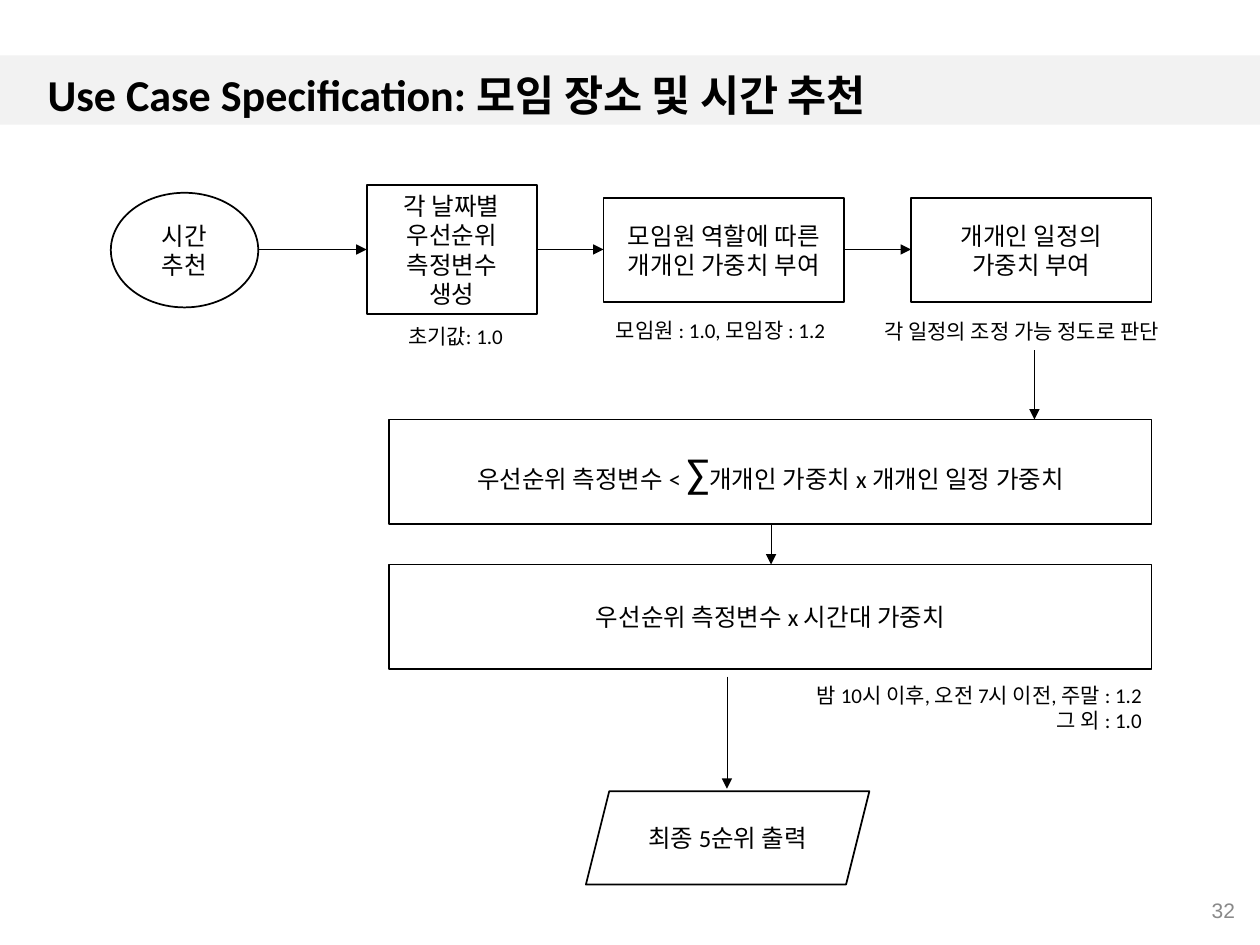
from lxml.etree import SubElement
from pptx import Presentation
from pptx.dml.color import RGBColor
from pptx.enum.shapes import MSO_CONNECTOR, MSO_SHAPE as SHAPE
from pptx.enum.text import MSO_ANCHOR as ANCHOR, PP_ALIGN as ALIGN
from pptx.oxml.ns import qn
from pptx.util import Inches, Pt

BLACK = RGBColor(0x00, 0x00, 0x00)
GRAY = RGBColor(0x89, 0x89, 0x89)
BAND = RGBColor(0xF2, 0xF2, 0xF2)
KOREAN_FONT = "Noto Sans CJK KR"


def style_span(span, size, font="Calibri", color=BLACK, bold=False):
    span.font.size = Pt(size)
    span.font.name = font
    span.font.bold = bold
    span.font.color.rgb = color
    SubElement(span.font._element, qn("a:ea")).set("typeface", KOREAN_FONT)


def write(box, text, size, align, anchor=ANCHOR.MIDDLE, **style):
    frame = box.text_frame
    frame.word_wrap = True
    frame.vertical_anchor = anchor
    frame.text = text
    for para in frame.paragraphs:
        para.alignment = align
        for span in para.runs:
            style_span(span, size, **style)


deck = Presentation()
deck.slide_width = Inches(10)
deck.slide_height = Inches(7.5)
page = deck.slides.add_slide(deck.slide_layouts[6])

band = page.shapes.add_shape(SHAPE.RECTANGLE, 0, Inches(0.44), Inches(10), Inches(0.55))
band.shadow.inherit = False
band.fill.solid()
band.fill.fore_color.rgb = BAND
band.line.fill.background()

title = page.shapes.add_textbox(Inches(0.28), Inches(0.43), Inches(9.45), Inches(0.56))
write(title, "Use Case Specification: ", 25.2, ALIGN.LEFT, bold=True)
title_para = title.text_frame.paragraphs[0]
title_para.line_spacing = 1.15
topic = title_para.add_run()
topic.text = "모임 장소 및 시간 추천"
style_span(topic, 24.3, font=KOREAN_FONT, bold=True)

number = page.shapes.add_textbox(Inches(7.65), Inches(7.02), Inches(2.25), Inches(0.4))
write(number, "32", 12, ALIGN.RIGHT, font="Arial", color=GRAY)

steps = [
    (SHAPE.OVAL, 0.88, 1.53, 1.17, 0.91, "시간\n추천"),
    (SHAPE.RECTANGLE, 2.91, 1.47, 1.35, 1.02, "각 날짜별\n우선순위\n측정변수\n생성"),
    (SHAPE.RECTANGLE, 4.79, 1.57, 1.91, 0.83, "모임원 역할에 따른 개개인 가중치 부여"),
    (SHAPE.RECTANGLE, 7.23, 1.57, 1.91, 0.83, "개개인 일정의\n가중치 부여"),
    (SHAPE.RECTANGLE, 3.09, 3.33, 6.05, 0.83, "우선순위 측정변수 < "),
    (SHAPE.RECTANGLE, 3.09, 4.48, 6.05, 0.83, "우선순위 측정변수 x 시간대 가중치"),
    (SHAPE.PARALLELOGRAM, 4.65, 6.28, 2.25, 0.74, "최종 5순위 출력"),
]
boxes = []
for kind, left, top, width, height, text in steps:
    box = page.shapes.add_shape(kind, Inches(left), Inches(top), Inches(width), Inches(height))
    box.shadow.inherit = False
    box.fill.background()
    box.line.color.rgb = BLACK
    box.line.width = Pt(1)
    write(box, text, 14, ALIGN.CENTER)
    boxes.append(box)

formula = boxes[4].text_frame.paragraphs[0]
for text, size in [("∑", 24), ("개개인 가중치 x 개개인 일정 가중치", 14)]:
    span = formula.add_run()
    span.text = text
    style_span(span, size)

captions = [
    (3.14, 2.52, 1.0, 0.3, "초기값: 1.0", ALIGN.LEFT),
    (4.79, 2.47, 1.97, 0.3, "모임원 : 1.0, 모임장 : 1.2", ALIGN.LEFT),
    (6.92, 2.48, 2.58, 0.3, "각 일정의 조정 가능 정도로 판단", ALIGN.LEFT),
    (6.2, 5.37, 2.96, 0.5, "밤 10시 이후, 오전 7시 이전, 주말 : 1.2\n그 외 : 1.0", ALIGN.RIGHT),
]
for left, top, width, height, text, align in captions:
    caption = page.shapes.add_textbox(Inches(left), Inches(top), Inches(width), Inches(height))
    write(caption, text, 12, align, anchor=ANCHOR.TOP)

arrows = [
    (2.05, 1.98, 2.91, 1.98),
    (4.26, 1.98, 4.79, 1.98),
    (6.7, 1.98, 7.23, 1.98),
    (8.21, 2.78, 8.21, 3.33),
    (6.12, 4.17, 6.12, 4.48),
    (5.77, 5.37, 5.77, 6.26),
]
for ends in arrows:
    arrow = page.shapes.add_connector(MSO_CONNECTOR.STRAIGHT, *map(Inches, ends))
    arrow.line.color.rgb = BLACK
    arrow.line.width = Pt(0.5)
    SubElement(arrow.line._get_or_add_ln(), qn("a:tailEnd")).set("type", "triangle")
    SubElement(arrow._element.spPr, qn("a:effectLst"))

deck.save("out.pptx")
